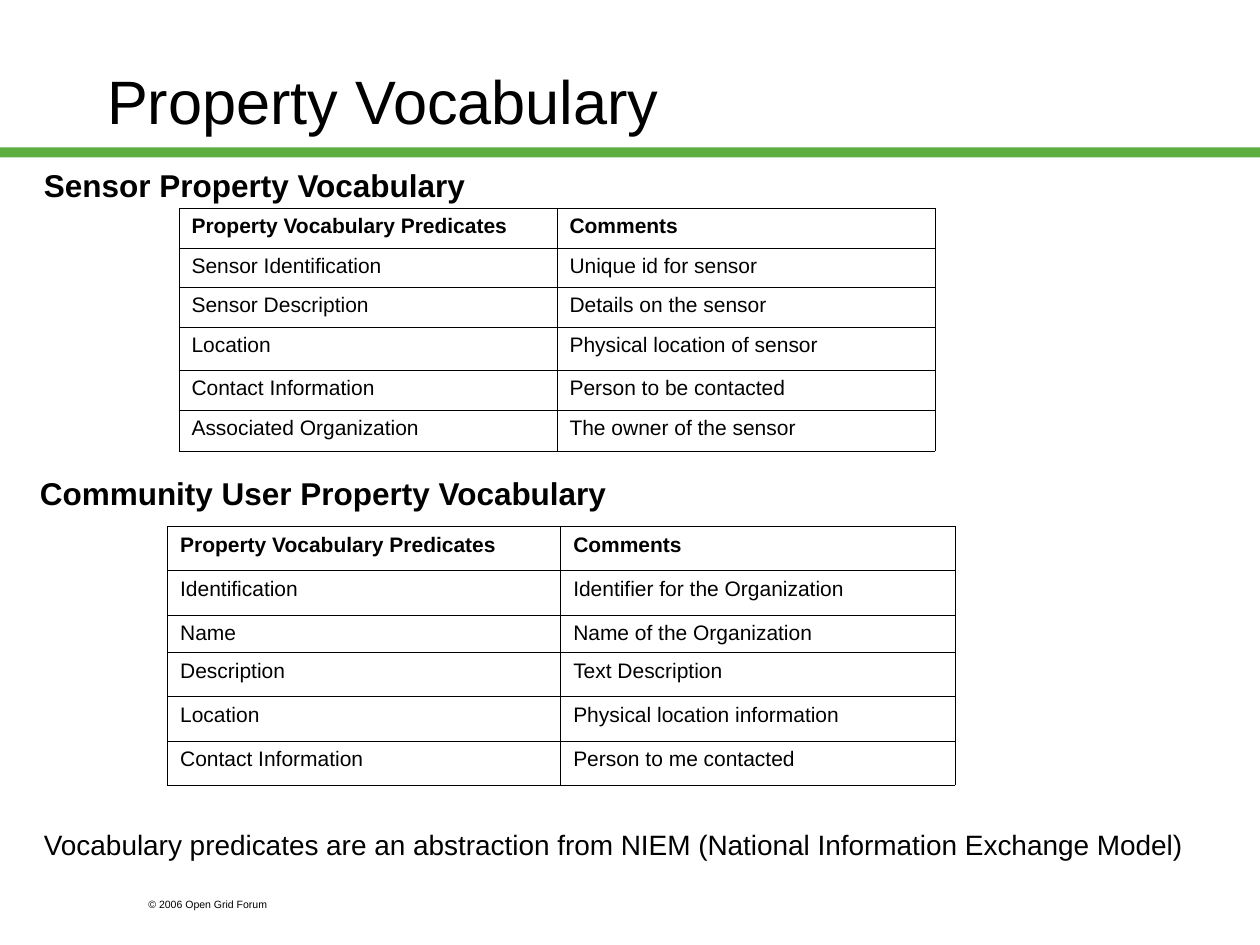
from lxml import etree
from pptx import Presentation
from pptx.dml.color import RGBColor
from pptx.enum.shapes import MSO_SHAPE
from pptx.enum.text import MSO_ANCHOR, PP_ALIGN
from pptx.oxml import parse_xml
from pptx.oxml.ns import nsdecls, qn
from pptx.util import Inches, Pt

BLACK = RGBColor(0x00, 0x00, 0x00)
GREEN = RGBColor(0x5D, 0xAD, 0x41)
RECTANGLE = MSO_SHAPE.RECTANGLE
TOP, MIDDLE = MSO_ANCHOR.TOP, MSO_ANCHOR.MIDDLE
LEFT, CENTER = PP_ALIGN.LEFT, PP_ALIGN.CENTER
TITLE_ONLY = 5
BORDER_WIDTH = Pt(0.45)
HEADER = ("Property Vocabulary Predicates", "Comments")

SENSOR_ROWS = [
    HEADER,
    ("Sensor Identification", "Unique id for sensor"),
    ("Sensor Description", "Details on the sensor"),
    ("Location", "Physical location of sensor"),
    ("Contact Information", "Person to be contacted"),
    ("Associated Organization", "The owner of the sensor"),
]
COMMUNITY_ROWS = [
    HEADER,
    ("Identification", "Identifier for the Organization"),
    ("Name", "Name of the Organization"),
    ("Description", "Text Description"),
    ("Location", "Physical location information"),
    ("Contact Information", "Person to me contacted"),
]


class VocabularySlide:
    font_name = "Arial"
    color = BLACK

    def __init__(self, presentation):
        self.slide = presentation.slides.add_slide(presentation.slide_layouts[TITLE_ONLY])

    def style(self, frame, size, bold=False, align=LEFT):
        paragraph = frame.paragraphs[0]
        paragraph.alignment = align
        font = paragraph.font
        font.name = self.font_name
        font.size = Pt(size)
        font.bold = bold
        font.color.rgb = self.color

    def title(self, text, left, top, width, height, size):
        heading = self.slide.shapes.title
        heading.left, heading.top = Inches(left), Inches(top)
        heading.width, heading.height = Inches(width), Inches(height)
        heading.text_frame.text = text
        heading.text_frame.vertical_anchor = MIDDLE
        self.style(heading.text_frame, size)

    def band(self, left, top, width, height):
        rule = self.slide.shapes.add_shape(
            RECTANGLE, Inches(left), Inches(top), Inches(width), Inches(height))
        rule.shadow.inherit = False
        rule.fill.solid()
        rule.fill.fore_color.rgb = GREEN
        rule.line.fill.background()

    def text(self, text, left, top, width, height, size,
             bold=False, align=LEFT, anchor=TOP, wrap=True):
        frame = self.slide.shapes.add_textbox(
            Inches(left), Inches(top), Inches(width), Inches(height)).text_frame
        frame.text = text
        frame.word_wrap = wrap
        frame.vertical_anchor = anchor
        self.style(frame, size, bold, align)

    def border(self, cell):
        properties = cell._tc.get_or_add_tcPr()
        for position, side in enumerate(("lnL", "lnR", "lnT", "lnB")):
            line = parse_xml(f'<a:{side} {nsdecls("a")} w="{BORDER_WIDTH}"/>')
            fill = etree.SubElement(line, qn("a:solidFill"))
            etree.SubElement(fill, qn("a:srgbClr"), val=str(BLACK))
            properties.insert(position, line)

    def table(self, rows, left, top, column_widths, row_heights, size=12):
        grid = self.slide.shapes.add_table(
            len(rows), len(column_widths), Inches(left), Inches(top),
            Inches(sum(column_widths)), Inches(sum(row_heights))).table
        grid.horz_banding = False
        for column, width in zip(grid.columns, column_widths):
            column.width = Inches(width)
        for index, (row, height) in enumerate(zip(grid.rows, row_heights)):
            row.height = Inches(height)
            for cell, value in zip(row.cells, rows[index]):
                cell.text = value
                cell.fill.background()
                self.border(cell)
                self.style(cell.text_frame, size, bold=index == 0)


def main():
    presentation = Presentation()
    presentation.slide_width, presentation.slide_height = Inches(10), Inches(7.5)
    page = VocabularySlide(presentation)

    page.band(0, 1.17, 10, 0.08)
    page.text("© 2006 Open Grid Forum", 1.08, 7.08, 1.5, 0.2, 6)
    page.title("Property Vocabulary", 0.75, 0.17, 8.5, 1.25, 35)

    page.table(SENSOR_ROWS, 1.42, 1.65, (3, 3), (0.32, 0.31, 0.32, 0.34, 0.32, 0.32))
    page.text("Sensor Property Vocabulary", 0.25, 1.27, 3.92, 0.4, 18,
              bold=True, anchor=MIDDLE)

    page.table(COMMUNITY_ROWS, 1.33, 4.18, (3.12, 3.13), (0.35, 0.35, 0.3, 0.35, 0.35, 0.35))
    page.text("Community User Property Vocabulary", 0.21, 3.71, 4.71, 0.4, 18,
              bold=True, align=CENTER, anchor=MIDDLE, wrap=False)

    page.text("Vocabulary predicates are an abstraction from NIEM "
              "(National Information Exchange Model)", 0.25, 6.52, 9.49, 0.37, 16)

    presentation.save("out.pptx")


if __name__ == "__main__":
    main()
